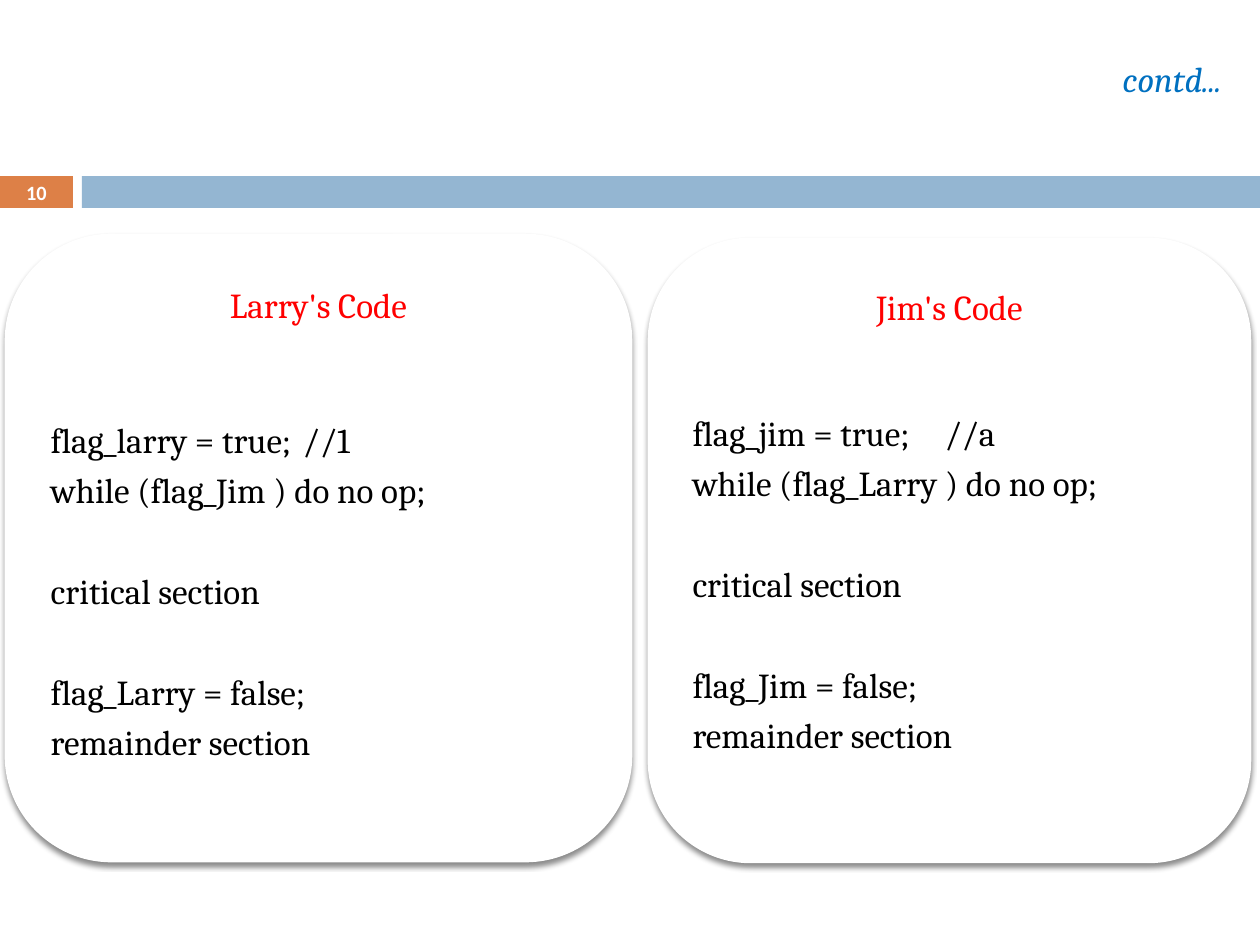
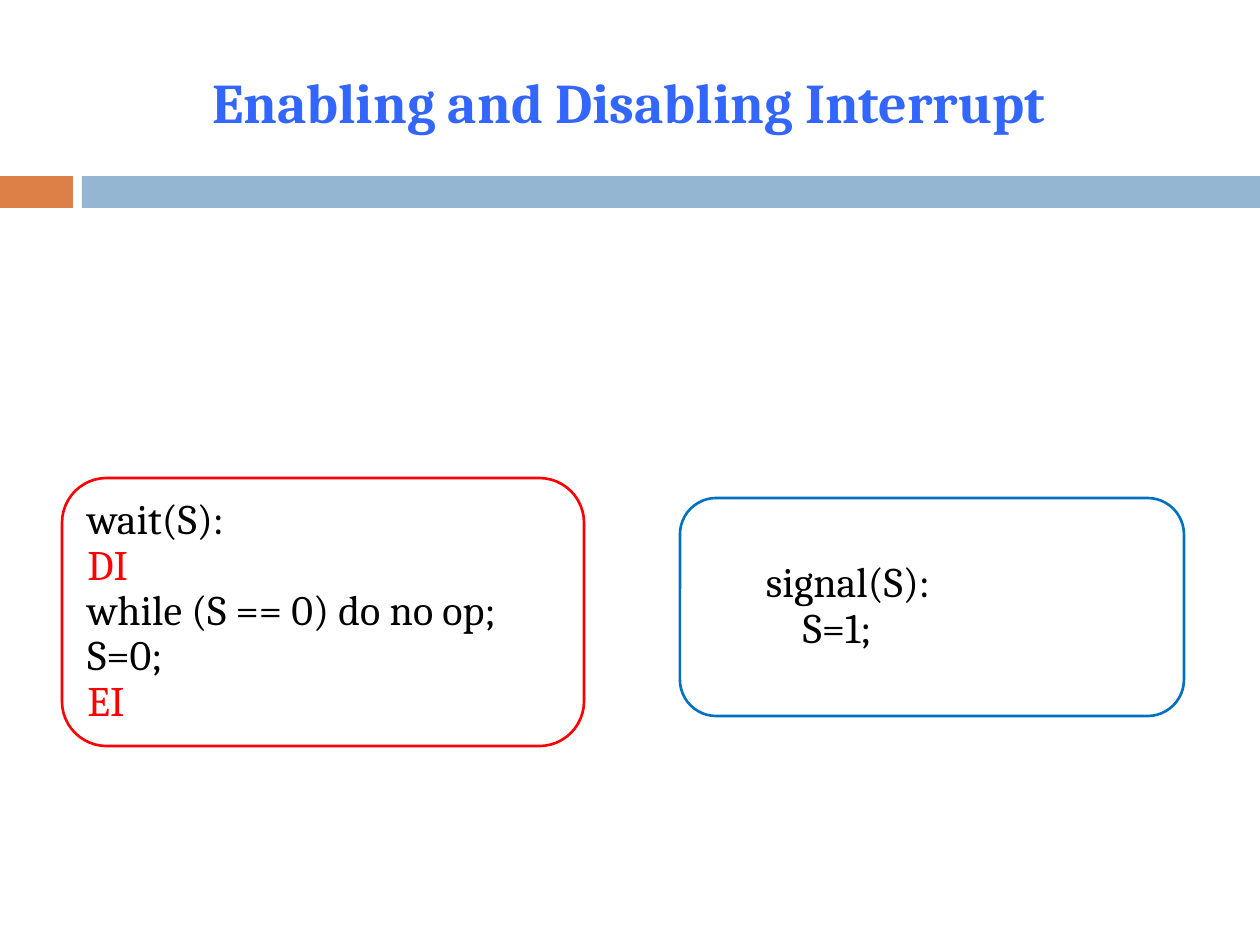
from pptx import Presentation
from pptx.dml.color import RGBColor
from pptx.enum.shapes import MSO_SHAPE as Shape
from pptx.enum.text import MSO_ANCHOR as Anchor, PP_ALIGN as Align
from pptx.oxml import parse_xml
from pptx.oxml.ns import nsdecls
from pptx.util import Pt

# Colours
WHITE = RGBColor(0xFF, 0xFF, 0xFF)
BLACK = RGBColor(0, 0, 0)
RED = RGBColor(0xFF, 0, 0)
BLUE = RGBColor(0x00, 0x70, 0xC0)
AZURE = RGBColor(0x33, 0x66, 0xFF)
ORANGE = RGBColor(0xDD, 0x80, 0x47)
STEEL = RGBColor(0x94, 0xB6, 0xD2)

# Content: code as (line, space before in points, line spacing)
CARDS = [
    dict(at=(651, 241, 597, 619), head="Jim's Code", foot=66, code=[
        ("flag_jim = true;\t//a", 48, 1),
        ("while (flag_Larry ) do no op;", 0, 1.2),
        ("critical section", 28.8, 1.2),
        ("flag_Jim = false;", 28.8, 1.2),
        ("remainder section", 0, 1.2)]),
    dict(at=(8, 237, 621, 622), head="Larry's Code", foot=56, code=[
        ("flag_larry = true;\t//1", 48, 1.2),
        ("while (flag_Jim ) do no op;", 0, 1.2),
        ("critical section", 28.8, 1.2),
        ("flag_Larry = false;", 28.8, 1.2),
        ("remainder section", 0, 1.2)]),
]
PANELS = [
    dict(at=(62, 478, 522, 268), edge=RED, indent=0, code=[
        ("wait(S):", BLACK), ("DI", RED),
        ("while (S == 0) do no op;", BLACK),
        ("S=0;", BLACK), ("EI", RED)]),
    dict(at=(680, 498, 504, 218), edge=BLUE, indent=63, code=[
        ("signal(S):", BLACK), ("    S=1;", BLACK)]),
]


def px(n):
    return round(n * 914400 / 126)


def place(at):
    return [px(n) for n in at]


def write(frame, text, first=False, size=20, font="Cambria", color=BLACK,
          bold=False, italic=False, align=Align.LEFT, before=0, lead=1,
          indent=0):
    """Write one paragraph; the first one sets up the frame."""
    if first:
        frame.word_wrap = True
        frame.vertical_anchor = Anchor.MIDDLE
    para = frame.paragraphs[0] if first else frame.add_paragraph()
    para.alignment = align
    para.line_spacing = lead
    if before:
        para.space_before = Pt(before)
    if indent:
        props = para._p.get_or_add_pPr()
        props.set("marL", str(px(indent)))
        props.set("indent", "0")
    run = para.add_run()
    run.text = text
    face = run.font
    face.name, face.size, face.bold, face.italic = font, Pt(size), bold, italic
    face.color.rgb = color


def label(slide, at, text, **style):
    frame = slide.shapes.add_textbox(*place(at)).text_frame
    write(frame, text, first=True, align=Align.CENTER, **style)


def block(slide, at, fill, kind=Shape.RECTANGLE, edge=None, width=1.5):
    shape = slide.shapes.add_shape(kind, *place(at))
    shape.shadow.inherit = False
    shape.fill.solid()
    shape.fill.fore_color.rgb = fill
    if edge is None:
        shape.line.fill.background()
    else:
        shape.line.color.rgb = edge
        shape.line.width = Pt(width)
    return shape


def shade(shape):
    """Add a soft shadow below the shape."""
    effects = shape._element.spPr.find(
        "{http://schemas.openxmlformats.org/drawingml/2006/main}effectLst")
    effects.append(parse_xml(
        f'<a:outerShdw {nsdecls("a")} blurRad="{Pt(3)}" dist="{Pt(2.4)}" '
        'dir="5400000" rotWithShape="0"><a:srgbClr val="000000">'
        '<a:alpha val="45000"/></a:srgbClr></a:outerShdw>'))


def start(deck):
    """New slide with the two bands."""
    slide = deck.slides.add_slide(deck.slide_layouts[6])
    block(slide, (0, 176, 73, 32), ORANGE)
    block(slide, (82, 176, 1178, 32), STEEL)
    return slide


def main():
    deck = Presentation()
    deck.slide_width, deck.slide_height = px(1260), px(945)

    # Two code cards
    slide = start(deck)
    label(slide, (0, 175, 73, 34), "10", size=11.6, font="Calibri",
          color=WHITE, bold=True)
    for card in CARDS:
        shape = block(slide, card["at"], WHITE, Shape.ROUNDED_RECTANGLE,
                      WHITE, 3.75)
        shade(shape)
        frame = shape.text_frame
        frame.margin_bottom = px(card["foot"])
        write(frame, card["head"], first=True, color=RED, align=Align.CENTER)
        for text, before, lead in card["code"]:
            write(frame, text, before=before, lead=lead)
    label(slide, (1106, 53, 132, 52), "contd...", color=BLUE, italic=True)

    # Wait and signal panels
    slide = start(deck)
    label(slide, (29, 53, 1200, 97), "Enabling and Disabling Interrupt",
          size=32, color=AZURE, bold=True)
    for panel in PANELS:
        shape = block(slide, panel["at"], WHITE, Shape.ROUNDED_RECTANGLE,
                      panel["edge"])
        for i, (text, color) in enumerate(panel["code"]):
            write(shape.text_frame, text, first=i == 0, size=24, color=color,
                  lead=0.9, indent=panel["indent"])

    deck.save("out.pptx")


if __name__ == "__main__":
    main()
